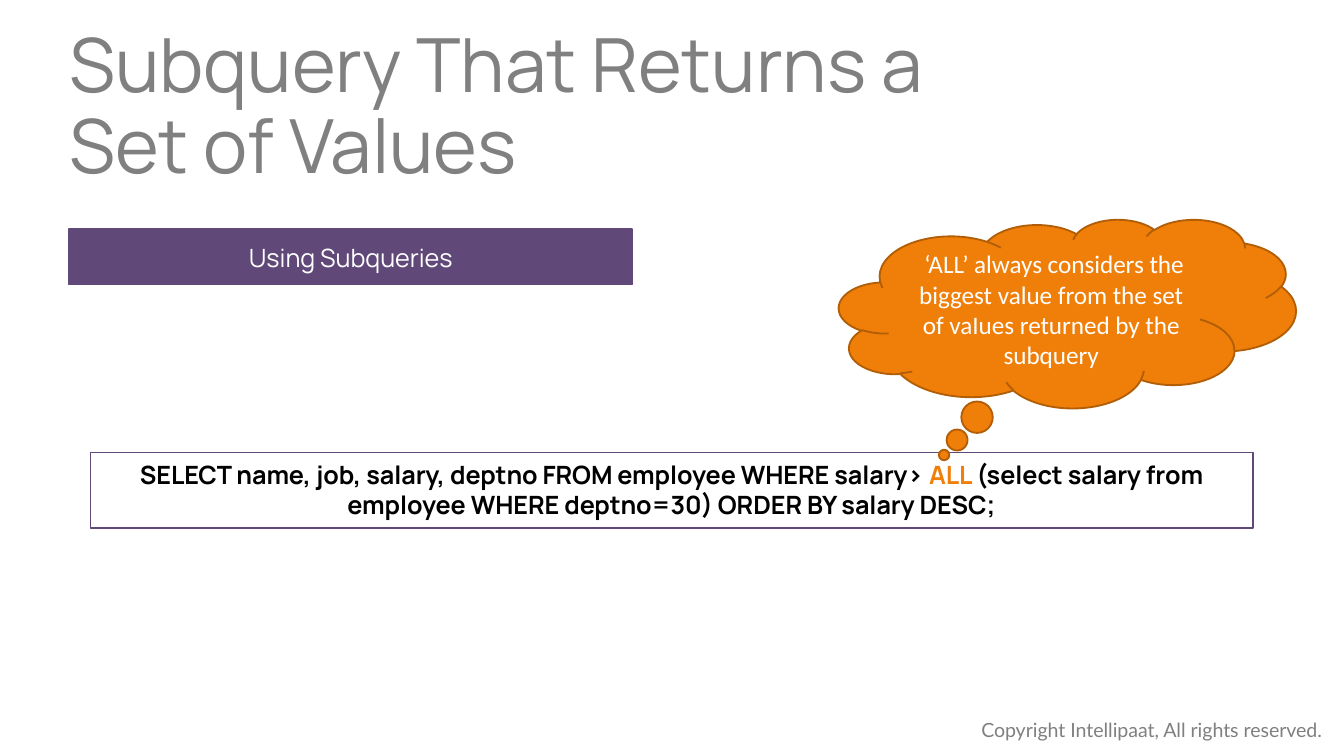
"""Build the slide on subqueries that return a set of values."""
from dataclasses import dataclass

from pptx import Presentation
from pptx.dml.color import RGBColor
from pptx.enum.shapes import MSO_SHAPE
from pptx.enum.text import MSO_ANCHOR, MSO_AUTO_SIZE, PP_ALIGN
from pptx.util import Inches, Pt


@dataclass(frozen=True)
class Theme:
    grey: str = "808080"
    purple: str = "604878"
    orange: str = "F07F09"
    rust: str = "B25E07"
    white: str = "FFFFFF"
    black: str = "000000"
    heading: str = "Manrope"
    note: str = "Calibri"
    small: str = "Lato"
    title_size: float = 40
    body_size: float = 13.5
    footer_size: float = 10.5


T = Theme()
WIDTH = 10
HEIGHT = WIDTH * 9 / 16

TITLE = "Subquery That Returns a Set of Values"
FOOTER = "Copyright Intellipaat, All rights reserved."
LABEL = "Using Subqueries"
QUERY = [
    ("SELECT name, job, salary, deptno FROM employee WHERE salary> ", T.black),
    ("ALL ", T.orange),
    ("(select salary from employee WHERE deptno=30) ORDER BY salary DESC;", T.black),
]
CALLOUT = " ‘ALL’ always considers the biggest value from the set of vaIues returned by the subquery"

PLACES = {
    "title": (5.15, 2.8, 71, 11.2),
    "footer": (72.03, 94.13, 28, 4.98),
    "label": (5.15, 30.35, 41.9, 7.3),
    "query": (6.72, 59.9, 86.5, 9.95),
    "callout": (62.43, 29, 34, 24.95),
}


def place(name):
    """Turn percentages of the slide into lengths."""
    sides = (WIDTH, HEIGHT, WIDTH, HEIGHT)
    return [Inches(share * side / 100) for share, side in zip(PLACES[name], sides)]


def write(s, text, color=T.white, size=T.body_size, font=T.heading, bold=False,
          align=PP_ALIGN.CENTER, anchor=MSO_ANCHOR.MIDDLE, wrap=True):
    """Write a string, or a list of (text, colour) runs, into a shape."""
    tf = s.text_frame
    tf.word_wrap = wrap
    tf.auto_size = MSO_AUTO_SIZE.NONE
    tf.vertical_anchor = anchor
    p = tf.paragraphs[0]
    p.alignment = align
    for part, part_color in [(text, color)] if isinstance(text, str) else text:
        r = p.add_run()
        r.text = part
        r.font.name, r.font.size, r.font.bold = font, Pt(size), bold
        r.font.color.rgb = RGBColor.from_string(part_color)
    return tf


def add_box(slide, name, kind=MSO_SHAPE.RECTANGLE, fill=None, line=T.purple, weight=1):
    """Add a flat preset shape at its named place."""
    s = slide.shapes.add_shape(kind, *place(name))
    s.shadow.inherit = False
    if fill:
        s.fill.solid()
        s.fill.fore_color.rgb = RGBColor.from_string(fill)
    else:
        s.fill.background()
    s.line.color.rgb = RGBColor.from_string(line)
    s.line.width = Pt(weight)
    return s


def main():
    """Assemble and save the slide."""
    prs = Presentation()
    prs.slide_width, prs.slide_height = Inches(WIDTH), Inches(HEIGHT)
    slide = prs.slides.add_slide(prs.slide_layouts[5])

    title = slide.shapes.title
    title.left, title.top, title.width, title.height = place("title")
    tf = write(title, TITLE, color=T.grey, size=T.title_size,
               align=PP_ALIGN.LEFT, anchor=MSO_ANCHOR.TOP)
    tf.margin_left = 0
    tf.paragraphs[0].line_spacing = 0.9

    footer = slide.shapes.add_textbox(*place("footer"))
    write(footer, FOOTER, color=T.grey, size=T.footer_size, font=T.small,
          align=PP_ALIGN.LEFT, anchor=MSO_ANCHOR.TOP, wrap=False)

    write(add_box(slide, "label", fill=T.purple), LABEL)
    write(add_box(slide, "query", weight=0.75), QUERY, bold=True, anchor=MSO_ANCHOR.TOP)

    cloud = add_box(slide, "callout", MSO_SHAPE.CLOUD_CALLOUT, fill=T.orange, line=T.rust)
    cloud.adjustments[0], cloud.adjustments[1] = -0.27, 0.75
    write(cloud, CALLOUT, font=T.note)

    prs.save("out.pptx")


if __name__ == "__main__":
    main()
